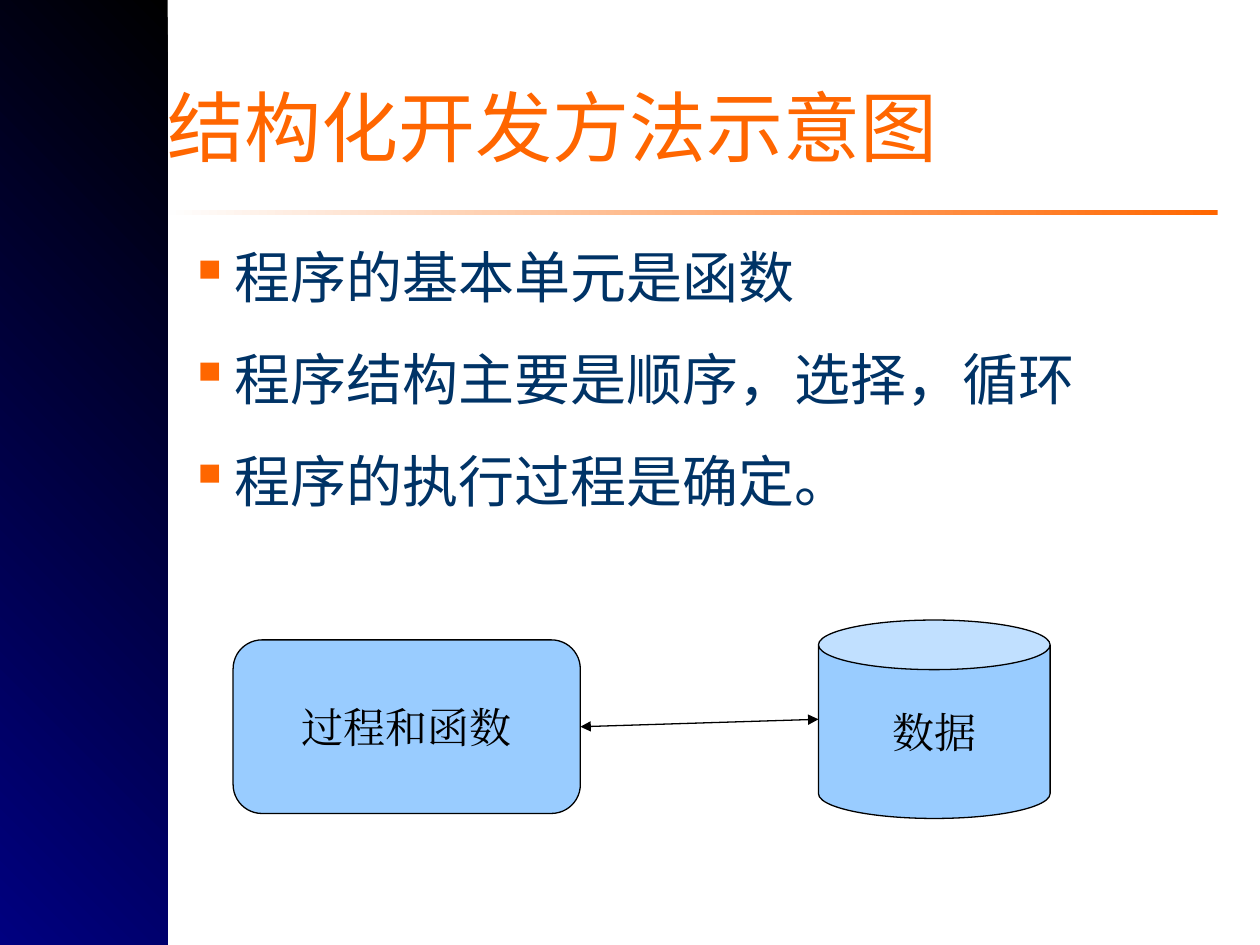
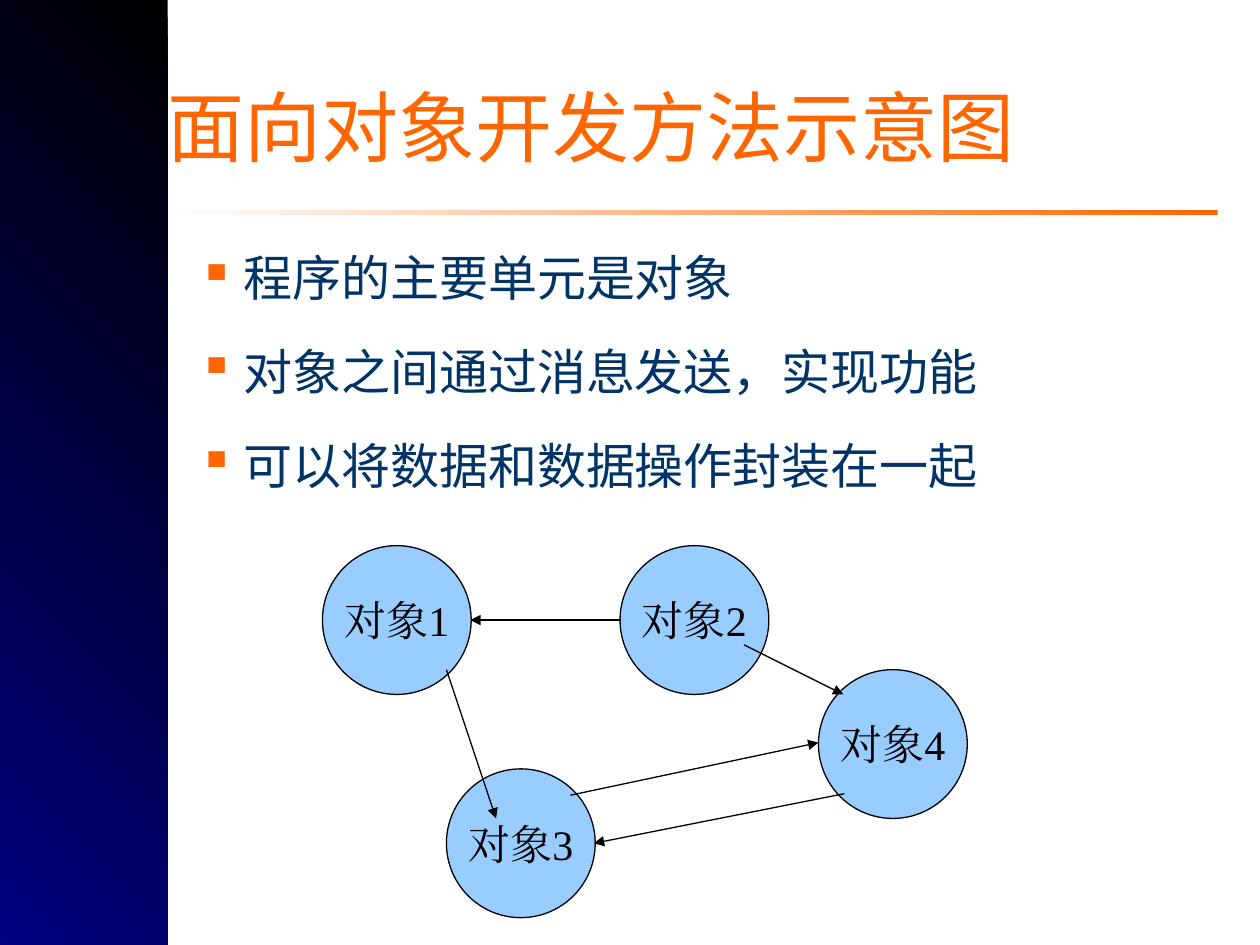
from lxml import etree
from pptx import Presentation
from pptx.dml.color import RGBColor
from pptx.enum.shapes import MSO_CONNECTOR as Link, MSO_SHAPE as Kind
from pptx.enum.text import MSO_ANCHOR as Anchor, PP_ALIGN as Align
from pptx.oxml.ns import qn
from pptx.util import Cm, Pt

ORANGE, NAVY, BLACK = "FF6600", "003366", "000000"
SKY, DEEP, PALE = "99CCFF", "000080", "FEFEFE"
BAND = 3.38  # width of the left band, and left edge of title and rule
INDENT = 0.91
BALL = 3  # diameter of an object circle


def ball(text, left, top):
    return Kind.OVAL, text, (left, top, BALL, BALL)


# Lengths are in centimetres; an arrow runs from its first point to its second
SLIDES = [
    {
        "title": "结构化开发方法示意图",
        "points": ["程序的基本单元是函数", "程序结构主要是顺序，选择，循环", "程序的执行过程是确定。"],
        "body": (3.81, 4.88),
        "size": 32,
        "nodes": [
            (Kind.CAN, "数据", (16.5, 12.5, 4.67, 4)),
            (Kind.ROUNDED_RECTANGLE, "过程和函数", (4.7, 12.9, 7, 3.5)),
        ],
        "arrows": [((11.7, 14.65), (16.5, 14.5))],
        "ends": ["headEnd", "tailEnd"],
    },
    {
        "title": "面向对象开发方法示意图",
        "points": ["程序的主要单元是对象", "对象之间通过消息发送，实现功能", "可以将数据和数据操作封装在一起"],
        "body": (4, 5),
        "size": 28,
        "nodes": [
            ball("对象1", 6.5, 11),
            ball("对象2", 12.5, 11),
            ball("对象4", 16.5, 13.5),
            ball("对象3", 9, 15.5),
        ],
        "arrows": [
            ((12.52, 12.5), (9.48, 12.5)),
            ((9, 13.5), (10, 16.5)),
            ((11.5, 16.03), (16.5, 14.97)),
            ((17.02, 16), (11.97, 17)),
            ((15, 13), (17, 14)),
        ],
        "ends": ["tailEnd"],
    },
]


def rgb(code):
    return RGBColor.from_string(code)


def cms(nums):
    return [Cm(n) for n in nums]


def write(para, text, size, face, color):
    run = para.add_run()
    run.text = text
    font = run.font
    font.size, font.name = Pt(size), face
    font.color.rgb = rgb(color)
    etree.SubElement(run._r.get_or_add_rPr(), qn("a:ea"), typeface=face)


def shade(slide, box, colors, angle):
    """Add a rectangle without outline, filled with a two-colour gradient."""
    shape = slide.shapes.add_shape(Kind.RECTANGLE, *cms(box))
    shape.shadow.inherit = False
    shape.line.fill.background()
    shape.fill.gradient()
    shape.fill.gradient_angle = angle
    for stop, color in zip(shape.fill.gradient_stops, colors):
        stop.color.rgb = rgb(color)


def text_box(slide, box, anchor):
    frame = slide.shapes.add_textbox(*cms(box)).text_frame
    frame.word_wrap = True
    frame.vertical_anchor = anchor
    frame.margin_left = frame.margin_right = 0
    frame.margin_top = frame.margin_bottom = 0
    return frame


def frame_slide(slide, title):
    """Add the band, the rule and the title that every slide carries."""
    shade(slide, (0, 0, BAND, 19.1), (BLACK, DEEP), 225)
    shade(slide, (BAND, 4.23, 21.17, 0.11), (ORANGE, PALE), 180)
    frame = text_box(slide, (BAND, 0.53, 20.1, 4), Anchor.MIDDLE)
    write(frame.paragraphs[0], title, 44, "Karla", ORANGE)


def add_bullet(para):
    props = para._p.get_or_add_pPr()
    props.set("marL", str(Cm(INDENT)))
    props.set("indent", str(-Cm(INDENT)))
    tint = etree.SubElement(props, qn("a:buClr"))
    etree.SubElement(tint, qn("a:srgbClr"), val=ORANGE)
    etree.SubElement(props, qn("a:buChar"), char="▪")


def add_points(slide, points, spot, size):
    frame = text_box(slide, (*spot, 20.52, 11.86), Anchor.TOP)
    for i, point in enumerate(points):
        para = frame.add_paragraph() if i else frame.paragraphs[0]
        add_bullet(para)
        para.space_before = Pt(10 if i else 0)
        para.space_after = Pt(10)
        write(para, point, size, "DejaVu Sans", NAVY)


def add_node(slide, kind, text, box):
    shape = slide.shapes.add_shape(kind, *cms(box))
    shape.shadow.inherit = False
    shape.fill.solid()
    shape.fill.fore_color.rgb = rgb(SKY)
    shape.line.color.rgb = rgb(BLACK)
    shape.line.width = Pt(0.75)
    frame = shape.text_frame
    frame.word_wrap = False
    frame.vertical_anchor = Anchor.MIDDLE
    para = frame.paragraphs[0]
    para.alignment = Align.CENTER
    write(para, text, 24, "Times New Roman", BLACK)


def add_arrow(slide, start, stop, ends):
    link = slide.shapes.add_connector(Link.STRAIGHT, *cms(start + stop))
    link.line.color.rgb = rgb(BLACK)
    link.line.width = Pt(0.75)
    for end in ends:
        etree.SubElement(link.line._get_or_add_ln(), qn(f"a:{end}"), type="triangle")
    etree.SubElement(link._element.spPr, qn("a:effectLst"))


def main():
    deck = Presentation()
    deck.slide_width, deck.slide_height = Cm(25.4), Cm(19.05)
    for page in SLIDES:
        slide = deck.slides.add_slide(deck.slide_layouts[6])
        frame_slide(slide, page["title"])
        add_points(slide, page["points"], page["body"], page["size"])
        for node in page["nodes"]:
            add_node(slide, *node)
        for start, stop in page["arrows"]:
            add_arrow(slide, start, stop, page["ends"])
    deck.save("out.pptx")


if __name__ == "__main__":
    main()
